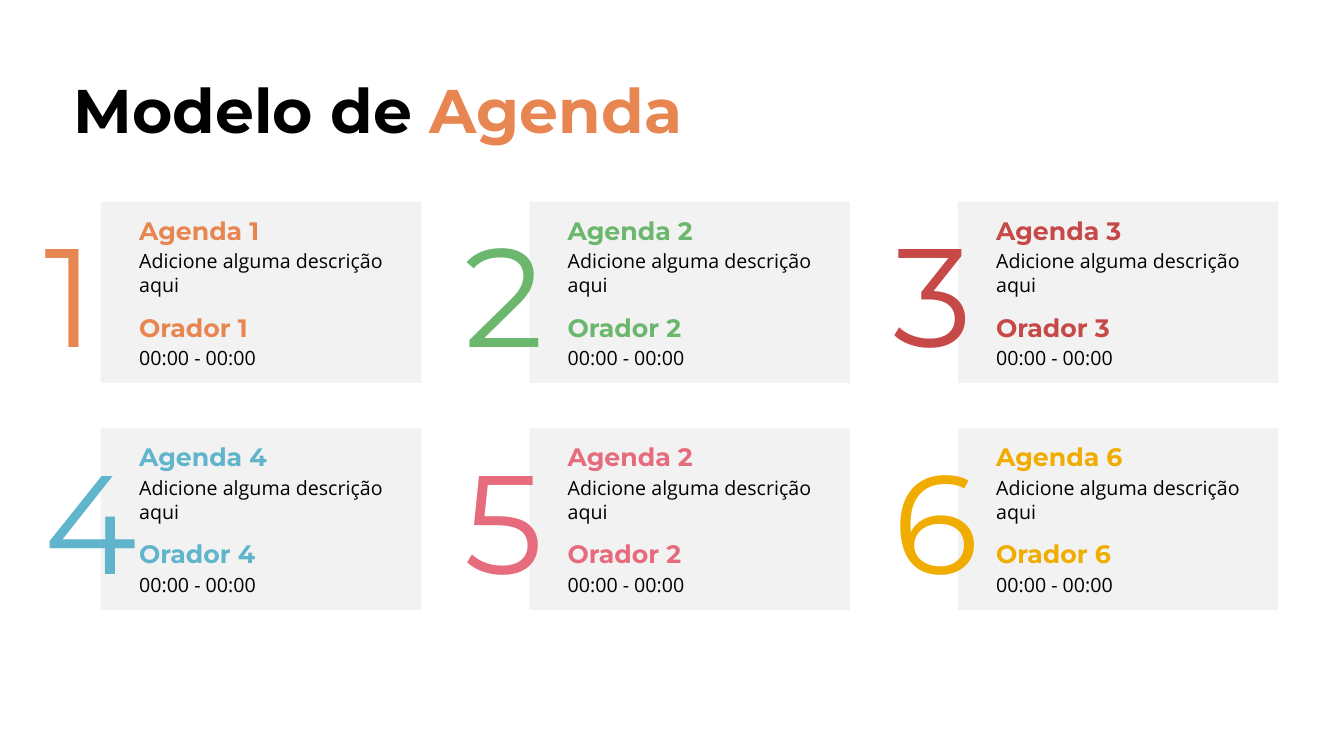
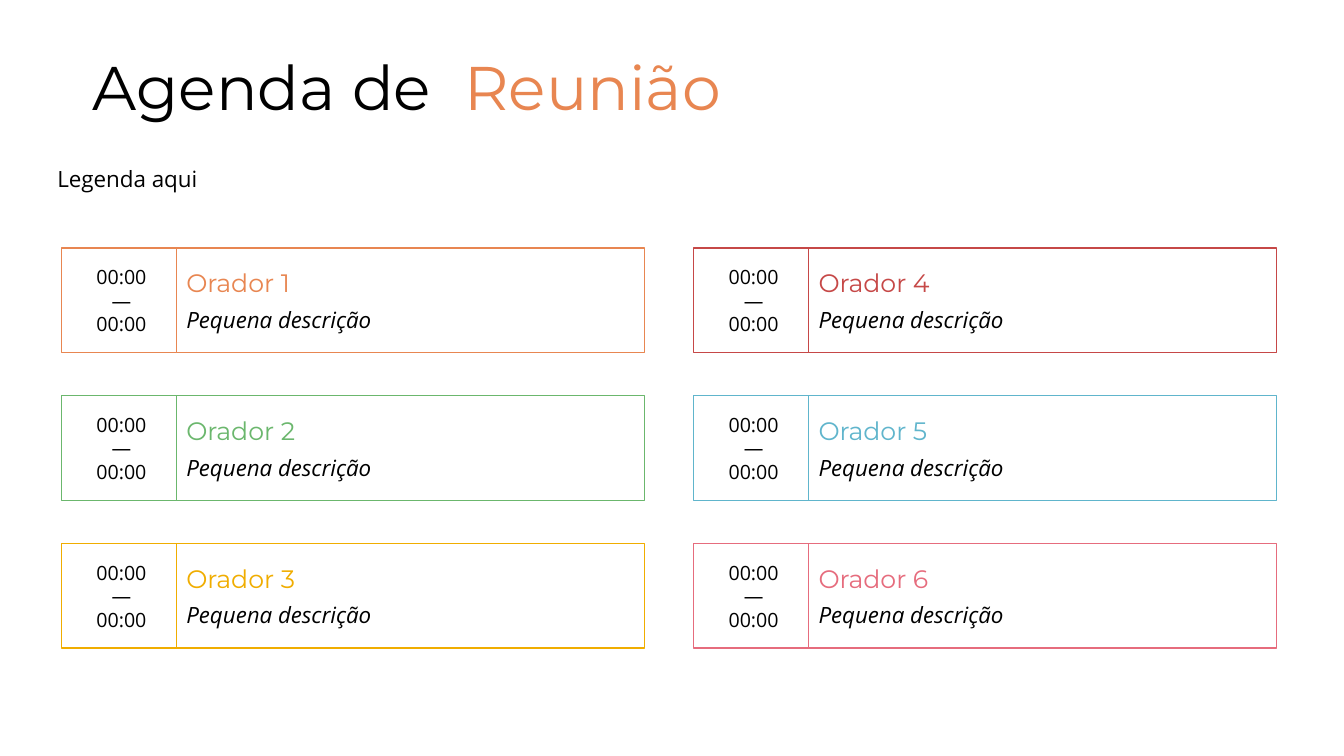
import dataclasses

import pptx
import pptx.dml.color
import pptx.enum.shapes
import pptx.enum.text
import pptx.util

Inches = pptx.util.Inches
Align = pptx.enum.text.PP_ALIGN
Anchor = pptx.enum.text.MSO_ANCHOR
Shape = pptx.enum.shapes.MSO_SHAPE

# Content
HEADS = [("Modelo de", "Agenda"), ("Agenda de", "Reunião")]
CARDS = [
    ("1", "Agenda 1", "Orador 1", "orange"),
    ("2", "Agenda 2", "Orador 2", "green"),
    ("3", "Agenda 3", "Orador 3", "red"),
    ("4", "Agenda 4", "Orador 4", "blue"),
    ("5", "Agenda 2", "Orador 2", "pink"),
    ("6", "Agenda 6", "Orador 6", "yellow"),
]
DETAIL = "Adicione alguma descrição aqui"
HOURS = "00:00 - 00:00"
LEGEND = "Legenda aqui"
SLOTS = [
    ("Orador 1", "orange"),
    ("Orador 2", "green"),
    ("Orador 3", "yellow"),
    ("Orador 4", "red"),
    ("Orador 5", "blue"),
    ("Orador 6", "pink"),
]
TIMES = ["00:00", "—", "00:00"]
NOTE = "Pequena descrição"


# Theme
@dataclasses.dataclass(frozen=True)
class Theme:
    orange: str = "E88651"
    green: str = "6BB76D"
    red: str = "C64847"
    blue: str = "60B5CC"
    pink: str = "E66C7D"
    yellow: str = "F0AD00"
    ink: str = "000000"
    paper: str = "FFFFFF"
    panel: str = "F2F2F2"
    head: str = "Montserrat"
    body: str = "Open Sans"
    title: int = 44
    digit: int = 100
    name: int = 18
    note: int = 16
    text: int = 14


THEME = Theme()


def rgb(code):
    return pptx.dml.color.RGBColor.from_string(code)


def write(frame, text, size=THEME.text, color=THEME.ink, face=THEME.body,
          bold=False, italic=False, before=0, line=None, align=Align.LEFT,
          join=False):
    """Add a paragraph, or a run to the last paragraph if join is set."""
    para = frame.paragraphs[-1]
    if para.runs and not join:
        para = frame.add_paragraph()
    if not join:
        para.alignment = align
        para.space_before = pptx.util.Pt(before)
        if line:
            para.line_spacing = line
    run = para.add_run()
    run.text = text
    font = run.font
    font.size, font.name = pptx.util.Pt(size), face
    font.bold, font.italic = bold, italic
    font.color.rgb = rgb(color)
    return run


def panel(shapes, kind, spot, fill, edge=None, inset=0.1):
    """Draw a filled box and return its text frame."""
    box = shapes.add_shape(kind, *map(Inches, spot))
    box.shadow.inherit = False
    box.fill.solid()
    box.fill.fore_color.rgb = rgb(fill)
    if edge:
        box.line.color.rgb = rgb(edge)
        box.line.width = pptx.util.Pt(1)
        box.adjustments[0] = 0
    else:
        box.line.fill.background()
    frame = box.text_frame
    frame.word_wrap = True
    frame.vertical_anchor = Anchor.MIDDLE
    frame.margin_left = Inches(inset)
    return frame


def label(shapes, spot, anchor=Anchor.TOP):
    frame = shapes.add_textbox(*map(Inches, spot)).text_frame
    frame.word_wrap = True
    frame.vertical_anchor = anchor
    return frame


def start(deck, words, left, top, bold=False, gap=0):
    """Add a slide with a two-colour title; gap widens the space between."""
    slide = deck.slides.add_slide(deck.slide_layouts[5])
    title = slide.shapes.title
    title.left, title.top = Inches(left), Inches(top)
    title.width, title.height = Inches(11.5), Inches(1.45)
    frame = title.text_frame
    frame.auto_size = pptx.enum.text.MSO_AUTO_SIZE.NONE
    frame.vertical_anchor = Anchor.MIDDLE
    look = dict(size=THEME.title, face=THEME.head, bold=bold)
    write(frame, words[0], line=0.9, **look)
    space = write(frame, " ", join=True, **look)
    space.font._element.set("spc", str(gap * 100))
    write(frame, words[1], color=THEME.orange, join=True, **look)
    return slide


def cards(deck):
    slide = start(deck, HEADS[0], 0.63, 0.4, bold=True)
    digits = [0.34, 4.51, 8.76]
    for i, (digit, topic, name, hue) in enumerate(CARDS):
        row, col = divmod(i, 3)
        left, top = 1 + 4.25 * col, 2 + 2.25 * row
        color = getattr(THEME, hue)
        group = slide.shapes.add_group_shape().shapes
        frame = panel(group, Shape.RECTANGLE, (left, top, 3.18, 1.8),
                      THEME.panel, inset=0.38)
        for head, text, before in [(topic, DETAIL, 0), (name, HOURS, 11.3)]:
            write(frame, head, size=THEME.name, color=color, face=THEME.head,
                  bold=True, before=before)
            write(frame, text, before=2.8)
        frame = label(group, (digits[col], top + 0.01, 0.95, 1.77))
        write(frame, digit, size=THEME.digit, color=color, face=THEME.head)


def meeting(deck):
    slide = start(deck, HEADS[1], 0.82, 0.17, gap=12)
    frame = label(slide.shapes, (0.47, 1.62, 6.1, 0.34), Anchor.MIDDLE)
    write(frame, LEGEND, size=THEME.note, line=0.9)
    first, last, high = 2.46, 5.39, 1.04
    step = (last - first) / 2
    for i, (name, hue) in enumerate(SLOTS):
        col, row = divmod(i, 3)
        left, top = 0.61 + 6.27 * col, first + step * row
        color = getattr(THEME, hue)
        # Time box, then the speaker box that overlaps its edge
        frame = panel(slide.shapes, Shape.ROUNDED_RECTANGLE,
                      (left, top, 1.19, high), THEME.paper, color)
        for time in TIMES:
            write(frame, time, align=Align.CENTER)
        frame = panel(slide.shapes, Shape.ROUNDED_RECTANGLE,
                      (left + 1.14, top, 4.64, high), THEME.paper, color)
        write(frame, name, size=THEME.name, color=color, face=THEME.head)
        write(frame, NOTE, size=THEME.note, italic=True, before=5.7)


def main():
    deck = pptx.Presentation()
    deck.slide_width, deck.slide_height = Inches(13.33), Inches(7.5)
    cards(deck)
    meeting(deck)
    deck.save("out.pptx")


if __name__ == "__main__":
    main()
